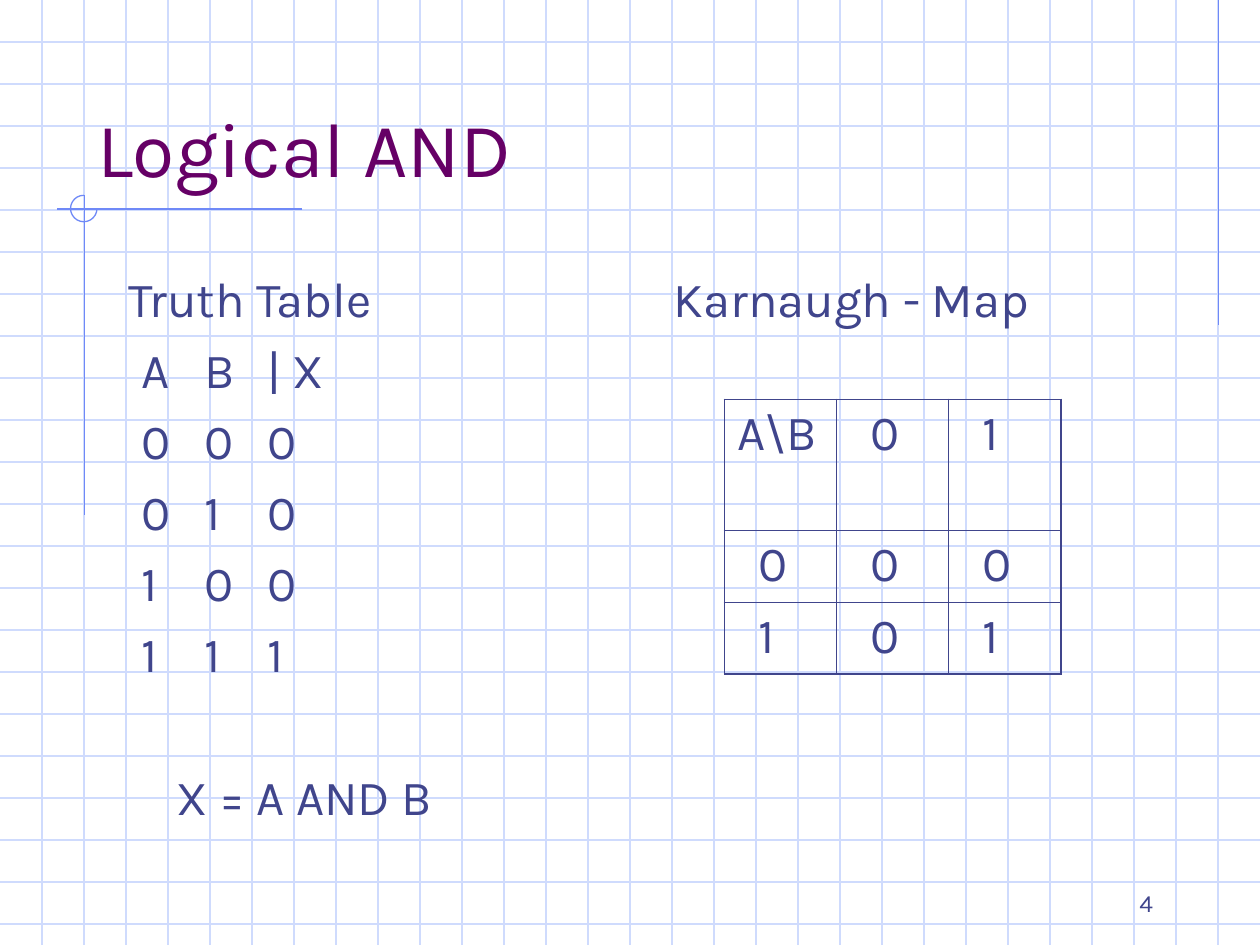
from dataclasses import dataclass

from lxml import etree
from pptx import Presentation
from pptx.dml.color import RGBColor
from pptx.enum.shapes import MSO_CONNECTOR, MSO_SHAPE
from pptx.enum.text import MSO_ANCHOR, PP_ALIGN
from pptx.oxml.ns import qn
from pptx.util import Inches, Pt

GRID = RGBColor(0xCF, 0xDB, 0xFD)
ACCENT = RGBColor(0x6F, 0x89, 0xF7)
PURPLE = RGBColor(0x66, 0x00, 0x66)
NAVY = RGBColor(0x40, 0x45, 0x8C)
FONT = "Karla"
WIDTH, HEIGHT = 10, 7.5
STRAIGHT = MSO_CONNECTOR.STRAIGHT
ARC = MSO_SHAPE.ARC
TOP, BOTTOM = MSO_ANCHOR.TOP, MSO_ANCHOR.BOTTOM
LEFT, RIGHT = PP_ALIGN.LEFT, PP_ALIGN.RIGHT


@dataclass
class Line:
    x1: float
    y1: float
    x2: float
    y2: float
    color: RGBColor = ACCENT


@dataclass
class Para:
    text: str
    size: int = 28
    color: RGBColor = NAVY
    align: PP_ALIGN = LEFT
    before: float = 7
    indent: float = 0
    tabs: tuple[float, ...] = ()


TITLE = [Para("Logical AND", size=44, color=PURPLE, before=0)]
TRUTH_TABLE = [
    Para("Truth Table"),
    Para("A\tB\t| X", indent=0.1, tabs=(0.49, 0.91)),
    Para("0\t0\t0", indent=0.1, tabs=(0.48, 1.09)),
    Para("0\t1\t0", indent=0.1, tabs=(0.48, 0.98)),
    Para("1\t0\t0", indent=0.1, tabs=(0.39, 0.98)),
    Para("1\t1\t1", indent=0.1, tabs=(0.39, 0.89)),
    Para("X = A AND B", before=48, indent=0.38),
]
KARNAUGH_TITLE = [Para("Karnaugh - Map")]
SLIDE_NUMBER = [Para("4", size=14, align=RIGHT, before=0)]
KARNAUGH = [["A\\B", "0", "1"], ["0", "0", "0"], ["1", "0", "1"]]
COLUMN_WIDTH = 0.89
ROW_HEIGHTS = [1.04, 0.57, 0.57]

ACCENT_LINES = [
    Line(9.67, 0, 9.67, 2.58),
    Line(2.4, 1.66, 0.45, 1.66),
    Line(0.67, 1.55, 0.67, 4.09),
]


def grid_lines() -> list[Line]:
    rows = [Line(0, i / 3, WIDTH, i / 3, GRID) for i in range(1, 23)]
    columns = [Line(i / 3, 0, i / 3, HEIGHT, GRID) for i in range(1, 30)]
    return rows + columns


def draw_line(s, line: Line) -> None:
    ends = (line.x1, line.y1, line.x2, line.y2)
    c = s.shapes.add_connector(STRAIGHT, *map(Inches, ends))
    c.line.color.rgb = line.color
    c.line.width = Pt(0.75)
    etree.SubElement(c._element.spPr, qn("a:effectLst"))


def draw_corner_arc(s) -> None:
    """Three quarters of a circle, open at the upper right."""
    sp = s.shapes.add_shape(ARC, *map(Inches, (0.56, 1.55, 0.21, 0.21)))
    sp.adjustments[0], sp.adjustments[1] = 0, 162
    sp.shadow.inherit = False
    sp.fill.background()
    sp.line.color.rgb = ACCENT
    sp.line.width = Pt(0.75)


def write_para(p, para: Para) -> None:
    r = p.add_run()
    r.text = para.text
    for name, value in {"name": FONT, "size": Pt(para.size), "bold": False}.items():
        setattr(r.font, name, value)
    r.font.color.rgb = para.color
    p.alignment = para.align
    p.space_before = Pt(para.before)
    ppr = p._p.get_or_add_pPr()
    ppr.set("marL", str(Inches(para.indent)))
    ppr.set("indent", "0")
    etree.SubElement(ppr, qn("a:buNone"))
    if para.tabs:
        stops = etree.SubElement(ppr, qn("a:tabLst"))
        for pos in para.tabs:
            etree.SubElement(stops, qn("a:tab"), pos=str(Inches(pos)), algn="l")


def fill_text(sp, box: tuple[float, ...], paras: list[Para], anchor=TOP) -> None:
    for name, value in zip(("left", "top", "width", "height"), box):
        setattr(sp, name, Inches(value))
    tf = sp.text_frame
    tf.word_wrap = True
    tf.vertical_anchor = anchor
    for i, para in enumerate(paras):
        write_para(tf.add_paragraph() if i else tf.paragraphs[0], para)


def set_border(cell, side: str, width: float) -> None:
    tc_pr = cell._tc.get_or_add_tcPr()
    ln = etree.SubElement(tc_pr, qn(f"a:ln{side}"), w=str(Pt(width)))
    fill = etree.SubElement(ln, qn("a:solidFill"))
    etree.SubElement(fill, qn("a:srgbClr"), val=str(NAVY))


def draw_karnaugh_map(s) -> None:
    count = len(KARNAUGH)
    box = (5.75, 3.17, count * COLUMN_WIDTH, sum(ROW_HEIGHTS))
    table = s.shapes.add_table(count, count, *map(Inches, box)).table
    table.first_row = table.horz_banding = False
    for i, height in enumerate(ROW_HEIGHTS):
        table.rows[i].height = Inches(height)
        table.columns[i].width = Inches(COLUMN_WIDTH)
    last = count - 1
    for i, row in enumerate(KARNAUGH):
        for j, text in enumerate(row):
            cell = table.cell(i, j)
            outer = {"L": j == 0, "R": j == last, "T": i == 0, "B": i == last}
            for side, is_outer in outer.items():
                set_border(cell, side, 1.08 if is_outer else 0.45)
            cell.fill.background()
            indent = 0 if i == j == 0 else 0.17
            write_para(cell.text_frame.paragraphs[0], Para(text, indent=indent))


def main() -> None:
    prs = Presentation()
    prs.slide_width, prs.slide_height = Inches(WIDTH), Inches(HEIGHT)
    s = prs.slides.add_slide(prs.slide_layouts[1])
    title, body = s.placeholders

    for line in grid_lines() + ACCENT_LINES:
        draw_line(s, line)
    draw_corner_arc(s)

    for sp in (title, body):  # bring the text in front of the grid
        s.shapes._spTree.append(sp._element)
    fill_text(title, (0.67, 0.33, 8.5, 1.25), TITLE, BOTTOM)
    fill_text(body, (0.92, 2.08, 4.17, 4.5), TRUTH_TABLE)
    heading = s.shapes.add_textbox(0, 0, 0, 0)
    fill_text(heading, (5.25, 2.08, 4.17, 4.58), KARNAUGH_TITLE)
    draw_karnaugh_map(s)
    number = s.shapes.add_textbox(0, 0, 0, 0)
    fill_text(number, (7.17, 6.83, 2.08, 0.5), SLIDE_NUMBER, BOTTOM)

    prs.save("out.pptx")


if __name__ == "__main__":
    main()
